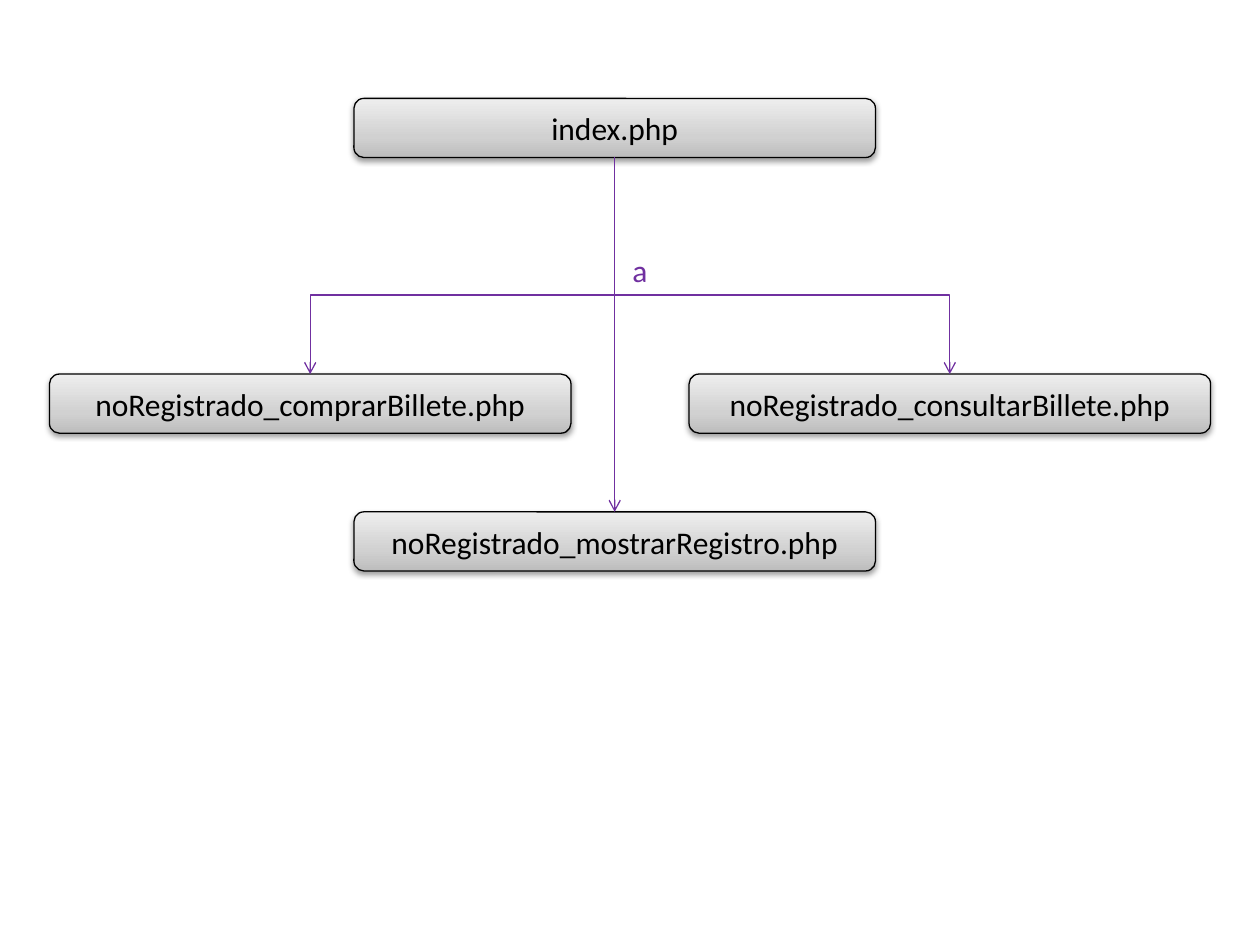
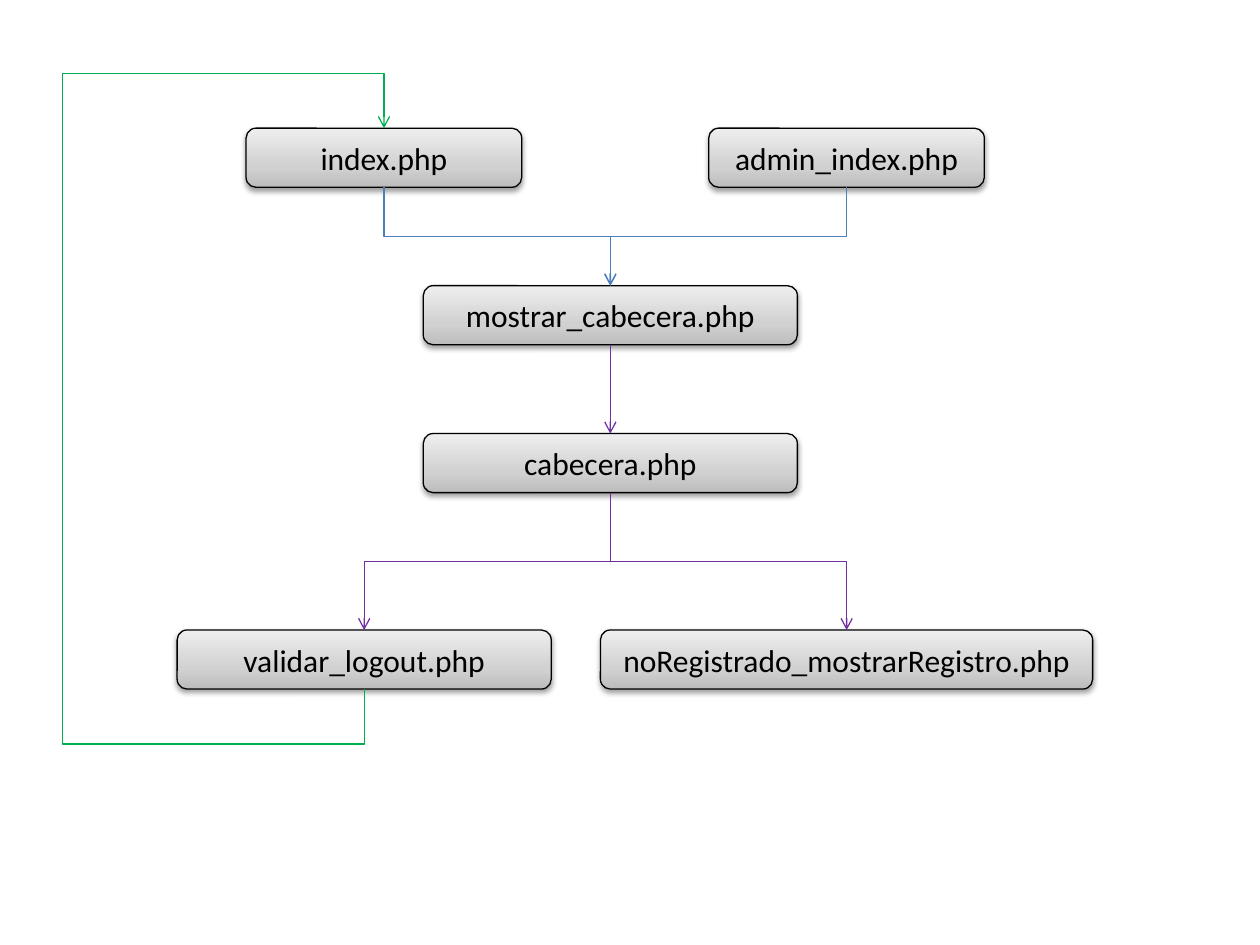
import dataclasses

import lxml.etree
import pptx
import pptx.dml.color
import pptx.enum.shapes
import pptx.enum.text
import pptx.oxml.ns
import pptx.util

Pt = pptx.util.Pt
TOP, BOTTOM = 0, 2


@dataclasses.dataclass(frozen=True)
class Theme:
    """Colours, type and sizes shared by both slides."""
    font: str = "Calibri"
    text_size: float = 18
    ink: str = "000000"
    call: str = "7030A0"
    include: str = "4B7EBC"
    back: str = "00B050"
    gradient: tuple = ((0, "BDBDBD"), (35, "D1D1D1"), (100, "EEEEEE"))
    line_width: float = 0.75
    page_height: float = 33.75


THEME = Theme()


def rgb(color):
    """Return the colour object for a hex string."""
    return pptx.dml.color.RGBColor.from_string(color)


def add_element(parent, tag, **attributes):
    """Append a DrawingML element with the given attributes."""
    names = {name: str(value) for name, value in attributes.items()}
    return lxml.etree.SubElement(parent, pptx.oxml.ns.qn(tag), names)


def write_text(shape, text, color=THEME.ink, align=pptx.enum.text.PP_ALIGN.LEFT,
               anchor=pptx.enum.text.MSO_ANCHOR.TOP):
    """Put one formatted line of text into a shape."""
    frame = shape.text_frame
    frame.word_wrap = True
    frame.vertical_anchor = anchor
    paragraph = frame.paragraphs[0]
    paragraph.alignment = align
    run = paragraph.add_run()
    run.text = text
    run.font.name = THEME.font
    run.font.size = Pt(THEME.text_size)
    run.font.color.rgb = rgb(color)


def style_page(shape):
    """Give a page box its grey gradient, outline and soft shadow."""
    shape.fill.gradient()
    shape.fill.gradient_angle = 90
    properties = shape._element.spPr
    stops = properties.find(".//" + pptx.oxml.ns.qn("a:gsLst"))
    for stop in list(stops):
        stops.remove(stop)
    for position, color in THEME.gradient:
        stop = add_element(stops, "a:gs", pos=position * 1000)
        add_element(stop, "a:srgbClr", val=color)
    shape.line.color.rgb = rgb(THEME.ink)
    shape.line.width = Pt(THEME.line_width)
    shape.shadow.inherit = False
    effects = properties.find(pptx.oxml.ns.qn("a:effectLst"))
    shadow = add_element(effects, "a:outerShdw", blurRad=Pt(3.15), dist=Pt(1.57),
                         dir=5400000, rotWithShape=0)
    add_element(add_element(shadow, "a:srgbClr", val=THEME.ink), "a:alpha", val=38000)


def add_page(slide, text, center, top, width):
    """Add a rounded page box centred on a horizontal position."""
    shape = slide.shapes.add_shape(
        pptx.enum.shapes.MSO_SHAPE.ROUNDED_RECTANGLE,
        Pt(center - width / 2), Pt(top), Pt(width), Pt(THEME.page_height))
    style_page(shape)
    write_text(shape, text, align=pptx.enum.text.PP_ALIGN.CENTER,
               anchor=pptx.enum.text.MSO_ANCHOR.MIDDLE)
    return shape


def add_arrow(slide, source, target, color, kind="STRAIGHT", sides=(BOTTOM, TOP)):
    """Join two pages with an arrow that ends at the target."""
    connector = slide.shapes.add_connector(
        pptx.enum.shapes.MSO_CONNECTOR[kind], 0, 0, 0, 0)
    connector.begin_connect(source, sides[0])
    connector.end_connect(target, sides[1])
    connector.line.color.rgb = rgb(color)
    connector.line.width = Pt(THEME.line_width)
    add_element(connector.line._get_or_add_ln(), "a:tailEnd", type="arrow")
    add_element(connector._element.spPr, "a:effectLst")
    return connector


def add_elbow(slide, source, target, color, bends=(0.5,)):
    """Join two pages with a bent arrow that leaves and arrives vertically."""
    connector = add_arrow(slide, source, target, color, "ELBOW")
    run = connector.end_x - connector.begin_x
    rise = connector.end_y - connector.begin_y
    middle_x = (connector.begin_x + connector.end_x) // 2
    middle_y = (connector.begin_y + connector.end_y) // 2
    frame = connector._element.spPr.xfrm
    for name in ("flipH", "flipV"):
        frame.attrib.pop(name, None)
    turn = 270 if run > 0 and rise > 0 else 90
    frame.set("rot", str(turn * 60000))
    if run > 0:
        frame.set("flipH", "1")
    if rise < 0:
        frame.set("flipV", "1")
    connector.width, connector.height = abs(rise), abs(run)
    connector.left = middle_x - abs(rise) // 2
    connector.top = middle_y - abs(run) // 2
    geometry = connector._element.spPr.find(pptx.oxml.ns.qn("a:prstGeom"))
    geometry.set("prst", f"bentConnector{len(bends) + 2}")
    guides = geometry.find(pptx.oxml.ns.qn("a:avLst"))
    if guides is None:
        guides = add_element(geometry, "a:avLst")
    for number, bend in enumerate(bends, 1):
        add_element(guides, "a:gd", name=f"adj{number}", fmla=f"val {round(bend * 100000)}")


def add_return(slide, source, target, color, lane, clearance):
    """Lead an arrow below the source, up a side lane and over the target."""
    start = source.left + source.width // 2
    end = target.left + target.width // 2
    margin = Pt(clearance) / (source.top + source.height - target.top)
    across = (Pt(lane) - start) / (end - start)
    add_elbow(slide, source, target, color, (-margin, across, 1 + margin))


def draw_unregistered_map(slide, left, top, width):
    """Draw the pages that an unregistered visitor reaches."""
    page_width = 298
    center = left + 323
    index = add_page(slide, "index.php", center, top, page_width)
    buy = add_page(slide, "noRegistrado_comprarBillete.php",
                   left + page_width / 2, top + 157.5, page_width)
    consult = add_page(slide, "noRegistrado_consultarBillete.php",
                       left + width - page_width / 2, top + 157.5, page_width)
    register = add_page(slide, "noRegistrado_mostrarRegistro.php",
                        center, top + 236.25, page_width)
    for page in (buy, consult):
        add_elbow(slide, index, page, THEME.call, (0.635,))
    add_arrow(slide, index, register, THEME.call)
    label = slide.shapes.add_textbox(Pt(center + 3), Pt(top + 83.5), Pt(67.5), Pt(29))
    write_text(label, "a", color=THEME.call)


def draw_header_map(slide, left, top):
    """Draw the pages that share the header and the logout loop."""
    narrow, medium, wide = 157.5, 213.75, 281.25
    center, right = left + 312.75, left + 447.75
    index = add_page(slide, "index.php", left + 183.4, top + 31.25, narrow)
    admin = add_page(slide, "admin_index.php", right, top + 31.25, narrow)
    show_header = add_page(slide, "mostrar_cabecera.php", center, top + 121.25, medium)
    header = add_page(slide, "cabecera.php", center, top + 205.75, medium)
    logout = add_page(slide, "validar_logout.php", left + 172.1, top + 318, medium)
    register = add_page(slide, "noRegistrado_mostrarRegistro.php", right, top + 318, wide)
    for page in (index, admin):
        add_elbow(slide, page, show_header, THEME.include)
    add_arrow(slide, show_header, header, THEME.call)
    for page in (logout, register):
        add_elbow(slide, header, page, THEME.call)
    add_return(slide, logout, index, THEME.back, lane=left, clearance=31.5)


def main():
    """Build both page maps and save the presentation."""
    presentation = pptx.Presentation()
    presentation.slide_width, presentation.slide_height = Pt(720), Pt(540)
    blank = presentation.slide_layouts[6]
    draw_unregistered_map(presentation.slides.add_slide(blank), 28.25, 56.25, 663.5)
    draw_header_map(presentation.slides.add_slide(blank), 36, 42)
    presentation.save("out.pptx")


if __name__ == "__main__":
    main()
